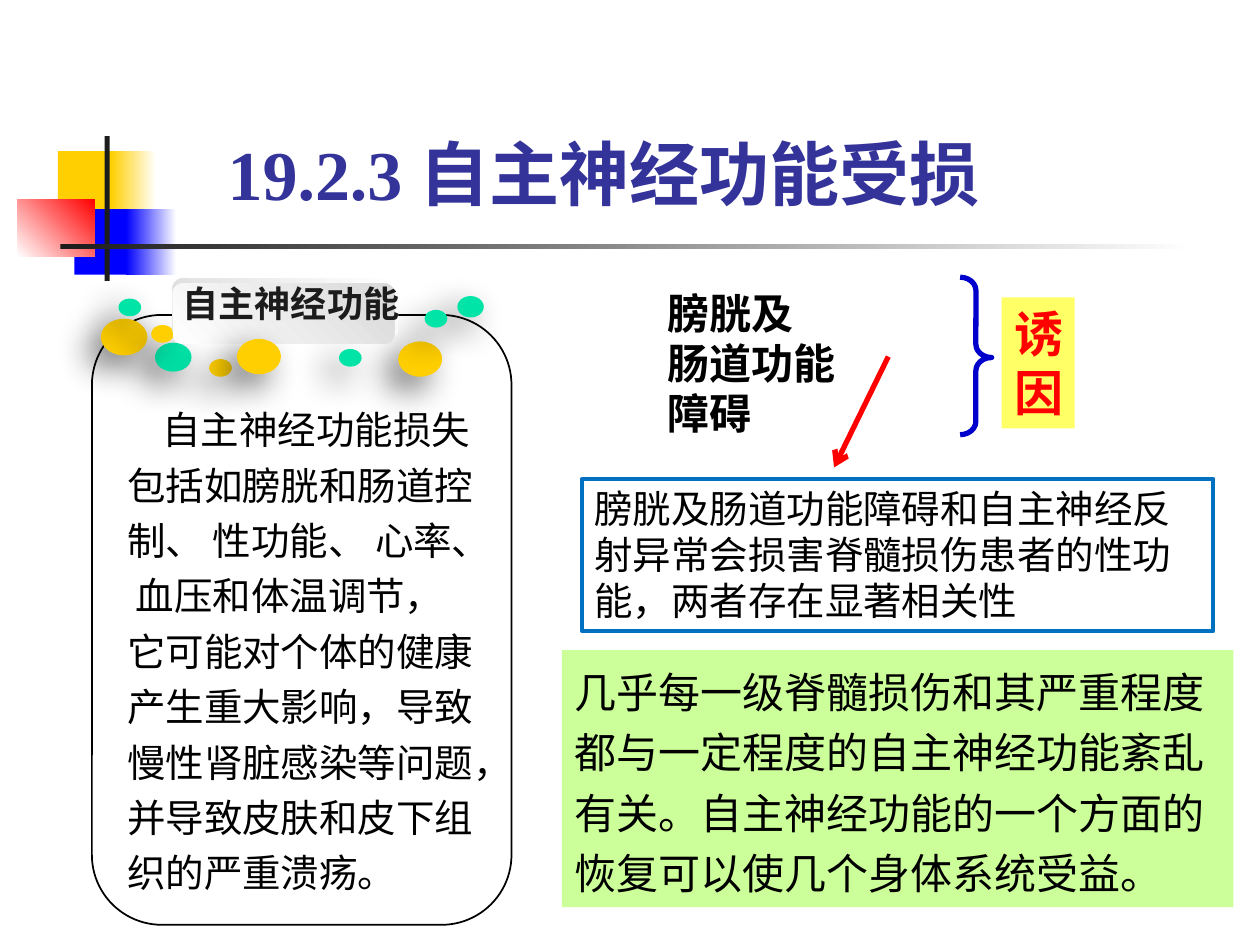
from lxml.etree import SubElement
from pptx import Presentation
from pptx.dml.color import RGBColor
from pptx.enum.shapes import MSO_CONNECTOR, MSO_SHAPE
from pptx.enum.text import MSO_ANCHOR, PP_ALIGN
from pptx.oxml import parse_xml
from pptx.oxml.ns import nsdecls, qn
from pptx.util import Inches, Pt

GOLD = RGBColor(0xFF, 0xCF, 0x01)
MINT = RGBColor(0x00, 0xE4, 0xA8)
BLUE = RGBColor(0x00, 0x00, 0xFF)
RED = RGBColor(0xFF, 0x00, 0x00)
INK = RGBColor(0x1C, 0x1C, 0x1C)
BLACK = RGBColor(0x00, 0x00, 0x00)
WHITE = RGBColor(0xFF, 0xFF, 0xFF)
GREY = RGBColor(0xD9, 0xD9, 0xD9)
NAVY = RGBColor(0x33, 0x33, 0x99)
BRACE = RGBColor(0x00, 0x00, 0xCC)
FRAME = RGBColor(0x00, 0x70, 0xC0)
YELLOW = RGBColor(0xFF, 0xFF, 0x66)
GREEN = RGBColor(0xCC, 0xFF, 0x99)
SANS = "Noto Sans CJK SC"
SERIF = "Times New Roman"


def add_shape(slide, kind, box, fill=None, line=None, width=1):
    shape = slide.shapes.add_shape(kind, *map(Inches, box))
    shape.shadow.inherit = False
    if fill is None:
        shape.fill.background()
    else:
        shape.fill.solid()
        shape.fill.fore_color.rgb = fill
    if line is None:
        shape.line.fill.background()
    else:
        shape.line.color.rgb = line
        shape.line.width = Pt(width)
    return shape


def add_fade(slide, kind, box, start, end, angle=0):
    """Shape with a two-colour gradient; the angle runs counterclockwise."""
    shape = add_shape(slide, kind, box)
    shape.fill.gradient()
    shape.fill.gradient_angle = angle
    for stop, color in zip(shape.fill.gradient_stops, (start, end)):
        stop.color.rgb = color
    return shape


def set_text(shape, lines, size, color, face=SANS, bold=False,
             align=PP_ALIGN.LEFT, anchor=MSO_ANCHOR.TOP, space=1, indent=0):
    frame = shape.text_frame
    frame.word_wrap = True
    frame.vertical_anchor = anchor
    frame.text = "\n".join(lines)
    for para in frame.paragraphs:
        # Plain paragraph: no bullet, optional first-line indent
        props = para._p.get_or_add_pPr()
        props.set("marL", "0")
        props.set("indent", str(Inches(indent)))
        SubElement(props, qn("a:buNone"))
        para.alignment = align
        para.line_spacing = space
        para.space_before = Pt(0)
        font = para.font
        font.size = Pt(size)
        font.bold = bold
        font.color.rgb = color
        font.name = face
        SubElement(font._element, qn("a:ea"), typeface=SANS)
    return frame


def add_box(slide, box):
    return slide.shapes.add_textbox(*map(Inches, box))


def move(shape, box):
    shape.left, shape.top, shape.width, shape.height = map(Inches, box)


def add_dot(slide, box, color):
    dot = add_shape(slide, MSO_SHAPE.OVAL, box, color)
    effect = dot._element.spPr.find(qn("a:effectLst"))
    effect.append(parse_xml(
        f'<a:outerShdw {nsdecls("a")} blurRad="{Pt(20)}" dist="{Pt(10)}" '
        'dir="8100000" algn="tr" rotWithShape="0"><a:srgbClr val="000000">'
        '<a:alpha val="60000"/></a:srgbClr></a:outerShdw>'))


def add_motif(slide, x, y):
    # Colour blocks, each fading out to the right
    rect = MSO_SHAPE.RECTANGLE
    add_shape(slide, rect, (x + 0.32, y + 0.12, 0.48, 0.52), GOLD)
    add_fade(slide, rect, (x + 0.74, y + 0.12, 0.36, 0.52), GOLD, WHITE)
    add_shape(slide, rect, (x + 0.45, y + 0.58, 0.46, 0.52), BLUE)
    add_fade(slide, rect, (x + 0.86, y + 0.58, 0.4, 0.52), BLUE, WHITE)
    add_fade(slide, rect, (x, y + 0.5, 0.61, 0.46), WHITE, RED, 45)
    # Crossed rules
    add_shape(slide, rect, (x + 0.69, y, 0.04, 1.15), INK)
    add_fade(slide, rect, (x + 0.34, y + 0.86, 9, 0.04), INK, WHITE)


def add_title(slide, box):
    title = slide.shapes.title
    move(title, box)
    set_text(title, ["19.2.3 自主神经功能受损"], 40, NAVY, SERIF, True,
             PP_ALIGN.CENTER, MSO_ANCHOR.BOTTOM)


def add_panel(slide, x, y, w, h):
    # Body text
    body = slide.placeholders[1]
    move(body, (x + 0.18, y + 0.6, 2.98, 4.09))
    set_text(body, [
        "自主神经功能损失包括如膀胱和肠道控制、 性功能、 心率、 血压和体温调节，"
        "它可能对个体的健康产生重大影响，导致慢性肾脏感染等问题，"
        "并导致皮肤和皮下组织的严重溃疡。"], 22, BLACK, space=1.2, indent=0.28)
    # Frame
    add_shape(slide, MSO_SHAPE.ROUNDED_RECTANGLE, (x, y, w, h), line=BLACK)
    # Dots: left, top, width, height, colour
    dots = [
        (0.5, 0.22, 0.29, 0.23, MINT), (0.93, 0.35, 0.18, 0.14, GOLD),
        (1.96, 0.27, 0.18, 0.14, MINT), (0.07, 0.03, 0.37, 0.29, GOLD),
        (0.47, 0.08, 0.18, 0.14, GOLD), (2.43, 0.21, 0.35, 0.28, GOLD),
        (2.9, -0.15, 0.21, 0.17, MINT), (2.64, -0.04, 0.18, 0.14, MINT),
        (1.15, 0.19, 0.35, 0.28, GOLD), (0.21, -0.13, 0.18, 0.14, MINT),
    ]
    for left, top, wide, high, color in dots[:8]:
        add_dot(slide, (x + left, y + top, wide, high), color)
    # Heading plate
    for top, wide, angle in ((-0.29, 1.79, 225), (-0.25, 1.76, 45)):
        add_fade(slide, MSO_SHAPE.ROUNDED_RECTANGLE,
                 (x + 0.64, y + top, wide, 0.48), WHITE, GREY, angle)
    head = add_box(slide, (x + 0.5, y - 0.27, 2.16, 0.35))
    frame = set_text(head, ["自主神经功能"], 20.6, INK, bold=True,
                     align=PP_ALIGN.CENTER)
    frame.margin_left = frame.margin_right = 0
    frame.margin_top = frame.margin_bottom = 0
    # Dots in front of the plate
    for left, top, wide, high, color in dots[8:]:
        add_dot(slide, (x + left, y + top, wide, high), color)


def add_cause(slide, x, y):
    # Brace and its label
    brace = add_shape(slide, MSO_SHAPE.RIGHT_BRACE,
                      (x + 2.42, y, 0.25, 1.25), line=BRACE, width=3)
    brace.adjustments[0] = 0.42
    brace.adjustments[1] = 0.51
    label = add_shape(slide, MSO_SHAPE.RECTANGLE,
                      (x + 2.75, y + 0.16, 0.58, 1.04), YELLOW)
    set_text(label, ["诱因"], 28, RED, SERIF, True)
    # Disorder
    text = add_box(slide, (x, y + 0.03, 1.95, 1.31))
    set_text(text, ["膀胱及", "肠道功能", "障碍"], 24, BLACK, SERIF, True)
    # Arrow to the finding
    ends = (x + 1.85, y + 0.63, x + 1.42, y + 1.51)
    arrow = slide.shapes.add_connector(MSO_CONNECTOR.STRAIGHT,
                                       *map(Inches, ends))
    arrow.line.color.rgb = RED
    arrow.line.width = Pt(3)
    SubElement(arrow.line._get_or_add_ln(), qn("a:tailEnd"), type="arrow")
    SubElement(arrow._element.spPr, qn("a:effectLst"))


def add_notes(slide, x, y):
    # Framed finding
    top = add_shape(slide, MSO_SHAPE.RECTANGLE, (x + 0.16, y, 5.01, 1.21),
                    line=FRAME, width=2.25)
    set_text(top, ["膀胱及肠道功能障碍和自主神经反射异常会损害脊髓损伤患者的性功能，"
                   "两者存在显著相关性"], 22, BLACK)
    # Filled conclusion
    low = add_shape(slide, MSO_SHAPE.RECTANGLE, (x, y + 1.36, 5.33, 2.04),
                    GREEN)
    set_text(low, ["几乎每一级脊髓损伤和其严重程度都与一定程度的自主神经功能紊乱有关。"
                   "自主神经功能的一个方面的恢复可以使几个身体系统受益。"],
             24, BLACK, space=1.2)


def main():
    deck = Presentation()
    deck.slide_width, deck.slide_height = Inches(10), Inches(7.5)
    slide = deck.slides.add_slide(deck.slide_layouts[1])
    add_motif(slide, 0.14, 1.08)
    add_title(slide, (1.5, 0.83, 6.58, 0.92))
    add_panel(slide, 0.73, 2.5, 3.33, 4.84)
    add_cause(slide, 5.2, 2.2)
    add_notes(slide, 4.46, 3.8)
    deck.save("out.pptx")


if __name__ == "__main__":
    main()
